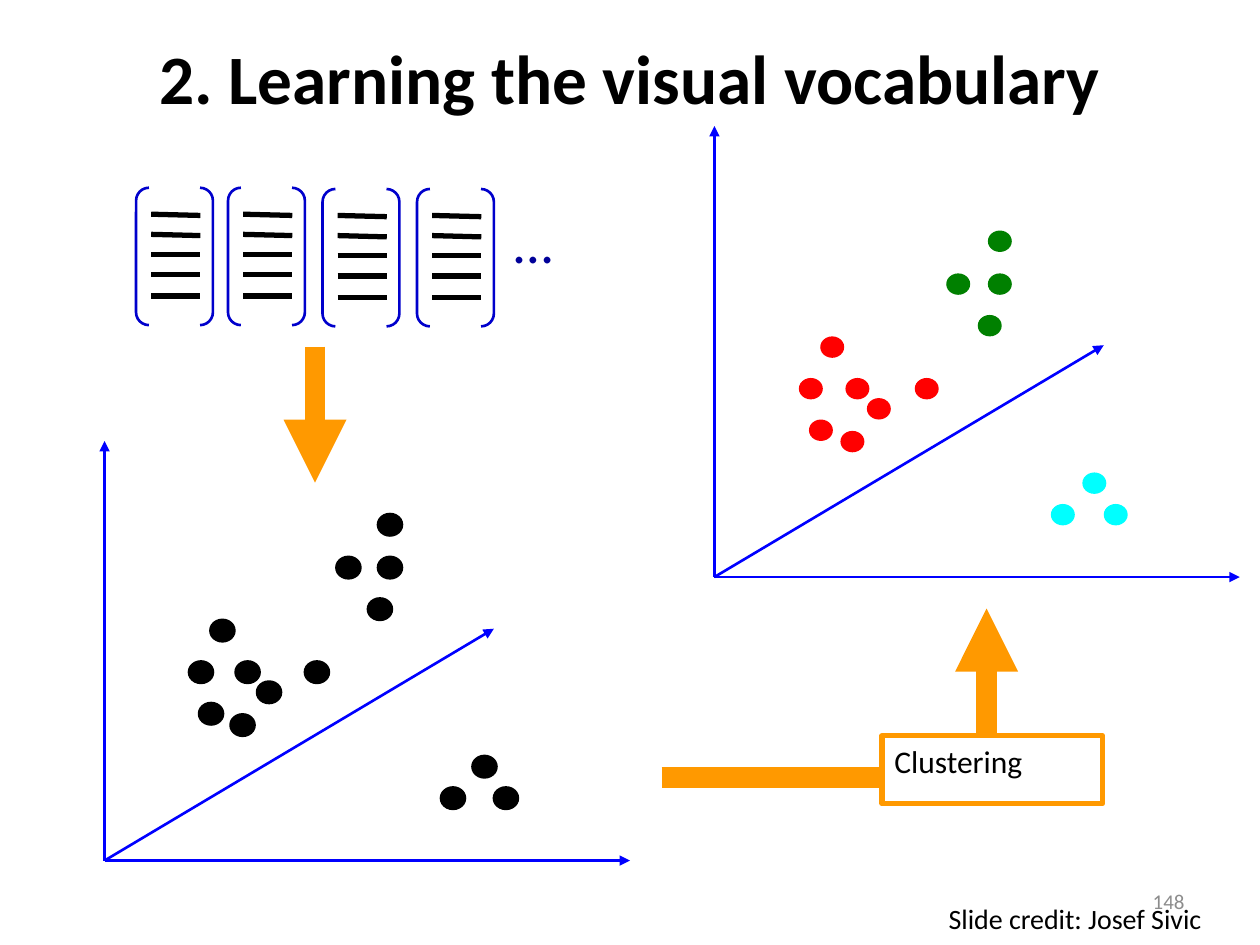
from lxml import etree
from pptx import Presentation
from pptx.dml.color import RGBColor
from pptx.enum.shapes import MSO_CONNECTOR, MSO_SHAPE
from pptx.enum.text import MSO_ANCHOR, PP_ALIGN
from pptx.oxml.ns import qn
from pptx.util import Inches, Pt

STRAIGHT = MSO_CONNECTOR.STRAIGHT
OVAL, RECT, BRACKET = MSO_SHAPE.OVAL, MSO_SHAPE.RECTANGLE, MSO_SHAPE.DOUBLE_BRACKET
TOP, MIDDLE = MSO_ANCHOR.TOP, MSO_ANCHOR.MIDDLE
LEFT, CENTER, RIGHT = PP_ALIGN.LEFT, PP_ALIGN.CENTER, PP_ALIGN.RIGHT
BLACK = RGBColor(0, 0, 0)
WHITE = RGBColor(255, 255, 255)
BLUE = RGBColor(0, 0, 255)
INK = RGBColor(0, 0, 0xCC)
NAVY = RGBColor(0, 0, 0x99)
ORANGE = RGBColor(255, 0x99, 0)
RED = RGBColor(255, 0, 0)
GREEN = RGBColor(0, 0x80, 0)
CYAN = RGBColor(0, 255, 255)
GRAY = RGBColor(0x8C, 0x8C, 0x8C)

prs = Presentation()
prs.slide_width, prs.slide_height = Inches(10), Inches(7.5)
shapes = prs.slides.add_slide(prs.slide_layouts[6]).shapes


def add_line(x1, y1, x2, y2, color, width, arrow=False):
    line = shapes.add_connector(STRAIGHT, Inches(x1), Inches(y1), Inches(x2), Inches(y2))
    line.line.color.rgb = color
    line.line.width = Pt(width)
    if arrow:
        etree.SubElement(line.line._get_or_add_ln(), qn("a:tailEnd"), type="triangle")
    etree.SubElement(line._element.spPr, qn("a:effectLst"))


def write(shape, text, size, color, align=LEFT, anchor=TOP, bold=False):
    frame = shape.text_frame
    frame.word_wrap = True
    frame.vertical_anchor = anchor
    para = frame.paragraphs[0]
    para.text = text
    para.alignment = align
    font = para.font
    font.name, font.size, font.bold = "Calibri", Pt(size), bold
    font.color.rgb = color


# Descriptors in brackets
for left, top in [(1.08, 1.49), (1.81, 1.49), (2.56, 1.5), (3.31, 1.5)]:
    pair = shapes.add_shape(BRACKET, Inches(left), Inches(top), Inches(0.61), Inches(1.09))
    pair.adjustments[0] = 0.167
    pair.shadow.inherit = False
    pair.fill.background()
    pair.line.color.rgb = INK
    pair.line.width = Pt(1.5)
    for drop, tilt in [(0.21, 0.01), (0.37, 0.01), (0.53, 0), (0.69, 0), (0.86, 0)]:
        add_line(left + 0.12, top + drop, left + 0.51, top + drop + tilt, BLACK, 3)

# Feature space before and after clustering; dots are offsets from the origin
CLUSTERS = [
    (RED, [(1.04, -1.58), (1.21, -1.42), (0.67, -1.58), (1, -1.16),
           (0.75, -1.25), (1.59, -1.58), (0.84, -1.91)]),
    (GREEN, [(2.17, -2.75), (2.09, -2.08), (1.84, -2.41), (2.17, -2.41)]),
    (CYAN, [(3.09, -0.58), (2.92, -0.83), (2.67, -0.58)]),
]
for x, y, height, colored in [(0.83, 6.83, 3.33, False), (5.67, 4.58, 3.58, True)]:
    for dx, dy in [(0, -height), (4.17, 0), (3.09, -1.84)]:
        add_line(x, y, x + dx, y + dy, BLUE, 1.5, arrow=True)
    for color, dots in CLUSTERS:
        for dx, dy in dots:
            dot = shapes.add_shape(OVAL, Inches(x + dx), Inches(y + dy),
                                   Inches(0.19), Inches(0.17))
            dot.shadow.inherit = False
            dot.fill.solid()
            dot.fill.fore_color.rgb = color if colored else BLACK
            if colored:
                dot.line.fill.background()
            else:
                dot.line.color.rgb = BLACK
                dot.line.width = Pt(1.5)

# Flow arrows and clustering step
add_line(2.5, 2.75, 2.5, 3.83, ORANGE, 12, arrow=True)
add_line(5.25, 6.17, 7.5, 6.17, ORANGE, 12)
add_line(7.83, 6.17, 7.83, 4.83, ORANGE, 12, arrow=True)
step = shapes.add_shape(RECT, Inches(7), Inches(5.84), Inches(1.75), Inches(0.54))
step.shadow.inherit = False
step.fill.solid()
step.fill.fore_color.rgb = WHITE
step.line.color.rgb = ORANGE
step.line.width = Pt(3)
write(step, "Clustering", 18, BLACK)

# Plain text
for left, top, width, height, *style in [
    (0, 0.3, 10, 0.62, "2. Learning the visual vocabulary", 39.6, BLACK, CENTER, MIDDLE, True),
    (3.98, 1.6, 0.65, 0.63, "…", 32, NAVY),
    (7.43, 7.11, 2.48, 0.37, "Slide credit: Josef Sivic", 16, BLACK),
    (7.17, 6.95, 2.33, 0.4, "148", 12, GRAY, RIGHT, MIDDLE),
]:
    box = shapes.add_textbox(Inches(left), Inches(top), Inches(width), Inches(height))
    write(box, *style)

prs.save("out.pptx")
